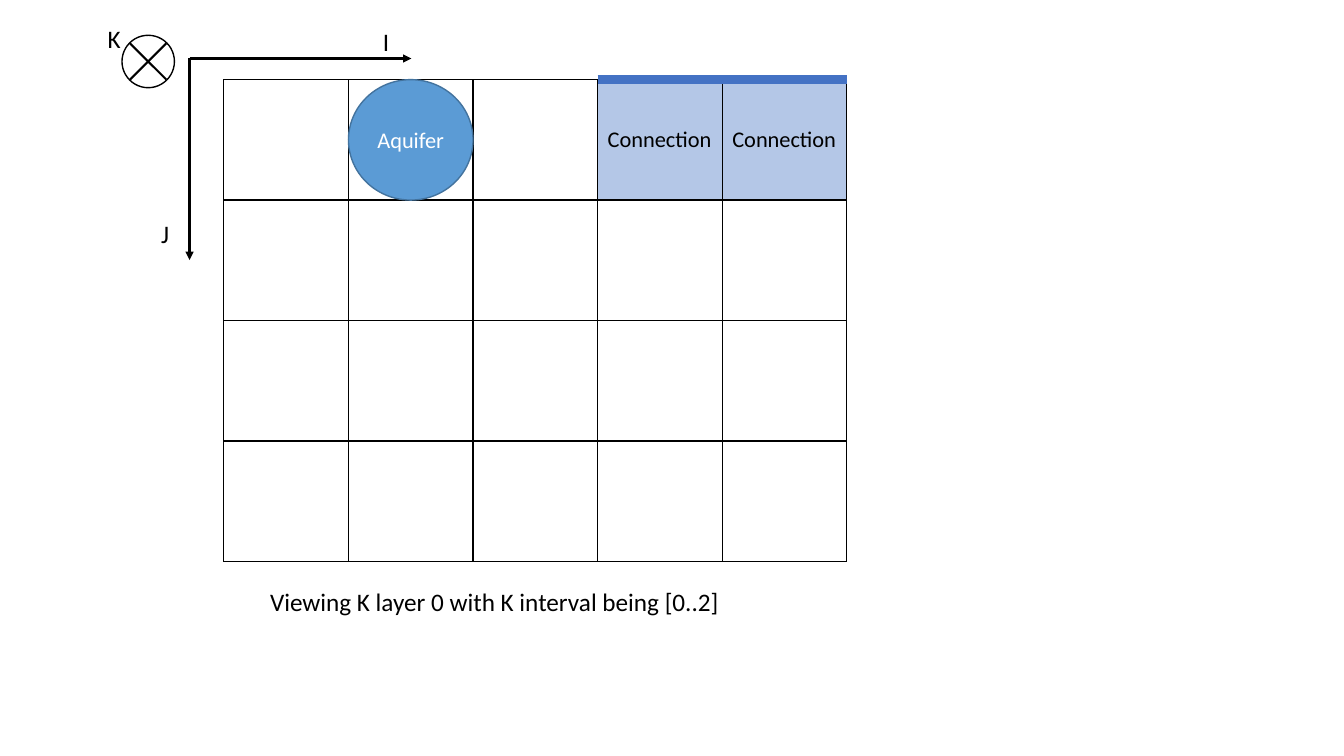
from lxml import etree
from pptx import Presentation
from pptx.dml.color import RGBColor
from pptx.enum.shapes import MSO_CONNECTOR, MSO_SHAPE
from pptx.enum.text import MSO_ANCHOR, PP_ALIGN
from pptx.oxml.ns import qn
from pptx.util import Pt

STRAIGHT = MSO_CONNECTOR.STRAIGHT
OVAL = MSO_SHAPE.OVAL
MIDDLE = MSO_ANCHOR.MIDDLE
CENTER = PP_ALIGN.CENTER
LEFT = PP_ALIGN.LEFT
EMU_PER_PX = 9144
COLUMNS, ROWS = 5, 4
AQUIFER_COLUMN = 1
CONNECTION_COLUMNS = (3, 4)
BLACK, WHITE = "000000", "FFFFFF"


def px(length):
    """Turn pixels (100 to the inch) into EMU."""
    return round(length * EMU_PER_PX)


def color(value):
    """Turn a hex string into a colour."""
    return RGBColor.from_string(value)


def write(frame, text, size, ink, align=LEFT):
    """Write one run of text into a frame."""
    para = frame.paragraphs[0]
    para.alignment = align
    span = para.add_run()
    span.text = text
    span.font.name = "Calibri"
    span.font.size = Pt(size)
    span.font.bold = False
    span.font.color.rgb = color(ink)


def add_label(page, box, text):
    """Add an 18 pt text box."""
    frame = page.shapes.add_textbox(*map(px, box)).text_frame
    frame.word_wrap = True
    write(frame, text, 18, BLACK)


def add_line(page, start, end, ink=BLACK, width=1.5, arrow=False):
    """Add a straight line, with an arrowhead at its end if wanted."""
    line = page.shapes.add_connector(STRAIGHT, *map(px, start + end))
    line.line.color.rgb = color(ink)
    line.line.width = Pt(width)
    if arrow:
        outline = line.line._get_or_add_ln()
        etree.SubElement(outline, qn("a:tailEnd"), type="triangle")
    etree.SubElement(line._element.spPr, qn("a:effectLst"))


def add_oval(page, box, fill, ink):
    """Add a filled oval with a thin outline."""
    oval = page.shapes.add_shape(OVAL, *map(px, box))
    oval.shadow.inherit = False
    oval.fill.solid()
    oval.fill.fore_color.rgb = color(fill)
    oval.line.color.rgb = color(ink)
    oval.line.width = Pt(1)
    return oval


def border_cell(cell):
    """Draw a black 1 pt border on every side of a cell."""
    properties = cell._tc.get_or_add_tcPr()
    for side in ("a:lnL", "a:lnR", "a:lnT", "a:lnB"):
        border = etree.SubElement(properties, qn(side), w=str(Pt(1)))
        fill = etree.SubElement(border, qn("a:solidFill"))
        etree.SubElement(fill, qn("a:srgbClr"), val=BLACK)


def draw_grid(page, box):
    """Draw the cell grid with its connections, aquifer and top edge."""
    left, top, width, height = box
    column_width, row_height = width / COLUMNS, height / ROWS
    table = page.shapes.add_table(ROWS, COLUMNS, *map(px, box)).table
    table.first_row = table.horz_banding = False
    for column in table.columns:
        column.width = px(column_width)
    for row in table.rows:
        row.height = px(row_height)
    for cell in table.iter_cells():
        border_cell(cell)
        cell.fill.background()
    for index in CONNECTION_COLUMNS:
        cell = table.cell(0, index)
        cell.fill.solid()
        cell.fill.fore_color.rgb = color("B4C7E7")
        cell.vertical_anchor = MIDDLE
        write(cell.text_frame, "Connection", 16, BLACK)

    aquifer_box = (left + AQUIFER_COLUMN * column_width, top, column_width, row_height)
    aquifer = add_oval(page, aquifer_box, "5B9BD5", "43739E")
    aquifer.text_frame.vertical_anchor = MIDDLE
    write(aquifer.text_frame, "Aquifer", 16, WHITE, CENTER)

    edge_left = left + CONNECTION_COLUMNS[0] * column_width
    add_line(page, (edge_left, top), (left + width, top), "4472C4", 6)


def draw_axes(page, box):
    """Draw the I and J arrows from the top left corner of the box."""
    left, top, width, height = box
    add_line(page, (left, top), (left, top + height), arrow=True)
    add_line(page, (left, top), (left + width, top), arrow=True)
    add_label(page, (left + 182, top - 37, 45, 40), "I")
    add_label(page, (left - 38, top + 154, 45, 40), "J")


def draw_depth_axis(page, box):
    """Draw the crossed circle of the K axis, pointing into the page."""
    left, top, width, height = box
    add_oval(page, box, WHITE, BLACK)
    inset = 8
    near_x, far_x = left + inset, left + width - inset
    near_y, far_y = top + inset, top + height - inset
    add_line(page, (near_x, near_y), (far_x, far_y))
    add_line(page, (near_x, far_y), (far_x, near_y))
    add_label(page, (left - 24, top - 17, 45, 40), "K")


def main():
    """Build the slide and save it."""
    deck = Presentation()
    deck.slide_width, deck.slide_height = px(1333), px(750)
    page = deck.slides.add_slide(deck.slide_layouts[6])
    draw_grid(page, (222, 79, 618, 478))
    draw_axes(page, (188, 58, 220, 200))
    draw_depth_axis(page, (121, 35, 52, 52))
    add_label(page, (258, 577, 523, 40), "Viewing K layer 0 with K interval being [0..2]")
    deck.save("out.pptx")


if __name__ == "__main__":
    main()
